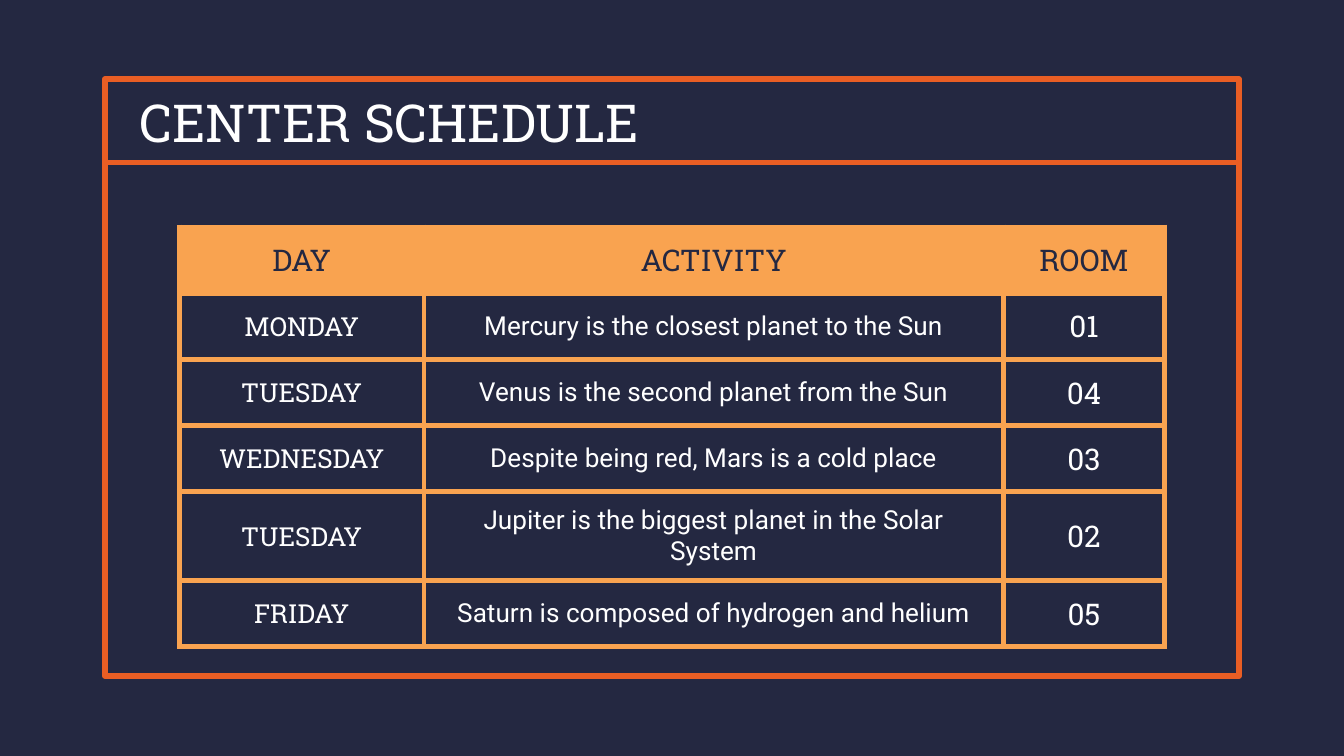
from dataclasses import dataclass

from lxml import etree
from pptx import Presentation
from pptx.dml.color import RGBColor
from pptx.enum.shapes import MSO_CONNECTOR, MSO_SHAPE
from pptx.enum.text import MSO_ANCHOR, MSO_AUTO_SIZE, PP_ALIGN
from pptx.oxml.ns import qn
from pptx.util import Inches, Pt

RECTANGLE = MSO_SHAPE.RECTANGLE
STRAIGHT = MSO_CONNECTOR.STRAIGHT
MIDDLE = MSO_ANCHOR.MIDDLE
NO_AUTOFIT = MSO_AUTO_SIZE.NONE
LEFT, CENTER = PP_ALIGN.LEFT, PP_ALIGN.CENTER


@dataclass(frozen=True)
class Theme:
    background: str = "242841"
    frame: str = "E95E24"
    accent: str = "F9A350"
    light: str = "FFFFFF"
    heading_font: str = "Roboto Slab"
    body_font: str = "Roboto"
    title_size: int = 28
    large_size: int = 16
    body_size: int = 14
    line_width: int = 3


THEME = Theme()
SLIDE_WIDTH = 10
SLIDE_HEIGHT = SLIDE_WIDTH * 9 / 16
TITLE_HEIGHT = 0.62
COLUMN_WIDTHS = (1.82, 4.31, 1.2)
ROW_HEIGHT = 0.47
HEADERS = ("DAY", "ACTIVITY", "ROOM")
SCHEDULE = (
    ("MONDAY", "Mercury is the closest planet to the Sun", "01"),
    ("TUESDAY", "Venus is the second planet from the Sun", "04"),
    ("WEDNESDAY", "Despite being red, Mars is a cold place", "03"),
    ("TUESDAY", "Jupiter is the biggest planet in the Solar System", "02"),
    ("FRIDAY", "Saturn is composed of hydrogen and helium", "05"),
)
COLUMN_STYLES = (
    {"font": THEME.heading_font, "size": THEME.body_size},
    {"font": THEME.body_font, "size": THEME.body_size},
    {"font": THEME.heading_font, "size": THEME.large_size},
)


def write_text(text_frame, text, *, font, size, color, align=CENTER):
    text_frame.word_wrap = True
    paragraph = text_frame.paragraphs[0]
    paragraph.alignment = align
    run = paragraph.add_run()
    run.text = text
    run.font.name = font
    run.font.size = Pt(size)
    run.font.color.rgb = RGBColor.from_string(color)


def set_margins(target):
    target.margin_left = target.margin_right = Inches(0.1)
    target.margin_top = target.margin_bottom = Inches(0.1)
    target.vertical_anchor = MIDDLE


def style_line(line):
    line.color.rgb = RGBColor.from_string(THEME.frame)
    line.width = Pt(THEME.line_width)


def add_frame(slide, left, top, width, height):
    frame = slide.shapes.add_shape(
        RECTANGLE, Inches(left), Inches(top), Inches(width), Inches(height)
    )
    frame.shadow.inherit = False
    frame.fill.background()
    style_line(frame.line)
    etree.SubElement(frame.line._get_or_add_ln(), qn("a:round"))

    divider_top = Inches(top + TITLE_HEIGHT)
    divider = slide.shapes.add_connector(
        STRAIGHT, Inches(left + 0.02), divider_top, Inches(left + width - 0.02), divider_top
    )
    style_line(divider.line)
    etree.SubElement(divider._element.spPr, qn("a:effectLst"))


def add_title(slide, text, left, top, width, height):
    title = slide.shapes.title
    title.left, title.top = Inches(left), Inches(top)
    title.width, title.height = Inches(width), Inches(height)
    text_frame = title.text_frame
    set_margins(text_frame)
    text_frame.auto_size = NO_AUTOFIT
    write_text(text_frame, text, font=THEME.heading_font,
               size=THEME.title_size, color=THEME.light, align=LEFT)


def set_borders(cell):
    properties = cell._tc.get_or_add_tcPr()
    for side in ("a:lnL", "a:lnR", "a:lnT", "a:lnB"):
        border = etree.SubElement(properties, qn(side), w=str(Pt(THEME.line_width)))
        fill = etree.SubElement(border, qn("a:solidFill"))
        etree.SubElement(fill, qn("a:srgbClr"), val=THEME.accent)


def fill_cell(cell, text, *, is_header, style):
    set_margins(cell)
    set_borders(cell)
    if is_header:
        cell.fill.solid()
        cell.fill.fore_color.rgb = RGBColor.from_string(THEME.accent)
        write_text(cell.text_frame, text, font=THEME.heading_font,
                   size=THEME.large_size, color=THEME.background)
    else:
        cell.fill.background()
        write_text(cell.text_frame, text, color=THEME.light, **style)


def add_schedule(slide, left, top):
    rows = (HEADERS, *SCHEDULE)
    table = slide.shapes.add_table(
        len(rows), len(HEADERS), Inches(left), Inches(top),
        Inches(sum(COLUMN_WIDTHS)), Inches(ROW_HEIGHT * len(rows))
    ).table
    table.first_row = table.horz_banding = False
    for column, width in zip(table.columns, COLUMN_WIDTHS):
        column.width = Inches(width)
    for row_index, values in enumerate(rows):
        table.rows[row_index].height = Inches(ROW_HEIGHT)
        for column_index, text in enumerate(values):
            fill_cell(table.cell(row_index, column_index), text,
                      is_header=row_index == 0, style=COLUMN_STYLES[column_index])


def build_schedule_slide(presentation):
    slide = presentation.slides.add_slide(presentation.slide_layouts[5])
    slide.background.fill.solid()
    slide.background.fill.fore_color.rgb = RGBColor.from_string(THEME.background)
    left, top, width, height = 0.78, 0.59, 8.44, 4.44
    add_frame(slide, left, top, width, height)
    add_title(slide, "CENTER SCHEDULE", left + 0.16, top, width - 0.32, TITLE_HEIGHT + 0.01)
    add_schedule(slide, left + (width - sum(COLUMN_WIDTHS)) / 2, top + 1.1)


def main():
    presentation = Presentation()
    presentation.slide_width = Inches(SLIDE_WIDTH)
    presentation.slide_height = Inches(SLIDE_HEIGHT)
    build_schedule_slide(presentation)
    presentation.save("out.pptx")


if __name__ == "__main__":
    main()
